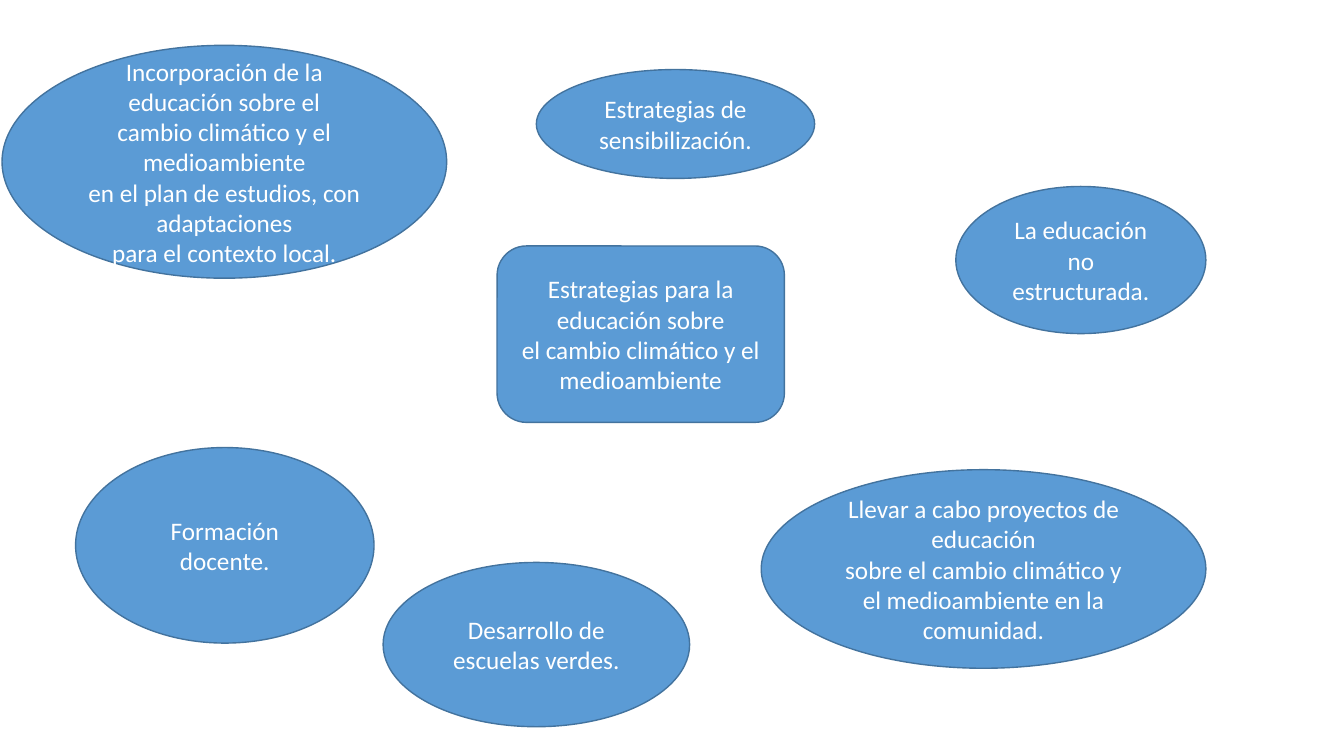
from pptx import Presentation
from pptx.dml.color import RGBColor
from pptx.enum.shapes import MSO_SHAPE
from pptx.enum.text import MSO_ANCHOR, PP_ALIGN
from pptx.util import Inches, Pt

BLUE = RGBColor(0x5B, 0x9B, 0xD5)
DARK_BLUE = RGBColor(0x43, 0x73, 0x9E)
WHITE = RGBColor(0xFF, 0xFF, 0xFF)
ROUNDED = MSO_SHAPE.FLOWCHART_ALTERNATE_PROCESS
ELLIPSE = MSO_SHAPE.OVAL
MIDDLE = MSO_ANCHOR.MIDDLE
CENTER = PP_ALIGN.CENTER

TOPIC_BOX = (4.93, 2.44, 2.85, 1.75)
TOPIC = ["Estrategias para la educación sobre",
         "el cambio climático y el medioambiente"]

# Each strategy: (left, top, width, height) in inches, then its paragraphs
STRATEGIES = [
    ((0.02, 0.45, 4.41, 2.31),
     ["Incorporación de la educación sobre el",
      "cambio climático y el medioambiente",
      "en el plan de estudios, con adaptaciones",
      "para el contexto local."]),
    ((0.75, 4.44, 2.96, 1.94), ["Formación docente."]),
    ((5.32, 0.69, 2.76, 1.08), ["Estrategias de sensibilización."]),
    ((9.48, 1.85, 2.48, 1.46), ["La educación no estructurada."]),
    ((3.8, 5.58, 3.04, 1.63), ["Desarrollo de escuelas verdes."]),
    ((7.55, 4.66, 4.41, 1.97),
     ["Llevar a cabo proyectos de educación",
      "sobre el cambio climático y el medioambiente en la comunidad."]),
]


def add_bubble(slide, outline, box, paragraphs):
    bubble = slide.shapes.add_shape(outline, *map(Inches, box))
    bubble.shadow.inherit = False
    bubble.fill.solid()
    bubble.fill.fore_color.rgb = BLUE
    bubble.line.color.rgb = DARK_BLUE
    bubble.line.width = Pt(1)
    frame = bubble.text_frame
    frame.word_wrap = True
    frame.vertical_anchor = MIDDLE
    for index, wording in enumerate(paragraphs):
        paragraph = frame.add_paragraph() if index else frame.paragraphs[0]
        paragraph.alignment = CENTER
        run = paragraph.add_run()
        run.text = wording
        run.font.name = "Calibri"
        run.font.size = Pt(18)
        run.font.color.rgb = WHITE


def add_strategy_map(slide):
    """Place the central topic and the strategies around it."""
    add_bubble(slide, ROUNDED, TOPIC_BOX, TOPIC)
    for box, paragraphs in STRATEGIES:
        add_bubble(slide, ELLIPSE, box, paragraphs)


def main():
    deck = Presentation()
    deck.slide_width = Inches(13.33)
    deck.slide_height = Inches(7.5)
    blank_layout = deck.slide_layouts[6]
    add_strategy_map(deck.slides.add_slide(blank_layout))
    deck.save("out.pptx")


if __name__ == "__main__":
    main()
